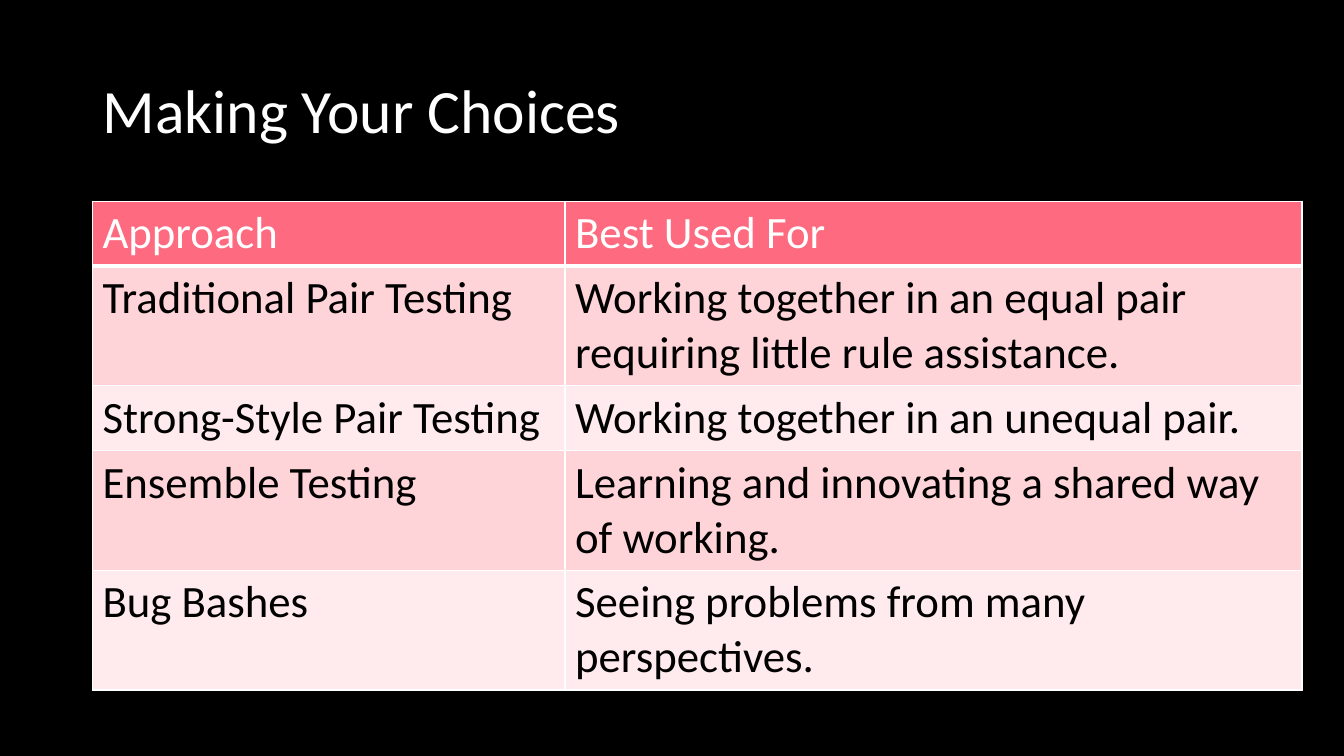
"""Build the "Making Your Choices" slide: a title above a table of testing approaches."""
from dataclasses import dataclass

import lxml.etree
import pptx
import pptx.dml.color
import pptx.enum.text
import pptx.oxml.ns
import pptx.slide
import pptx.table
import pptx.text.text
import pptx.util
from pptx.dml.color import RGBColor
from pptx.util import Cm

BLACK = RGBColor(0x00, 0x00, 0x00)
WHITE = RGBColor(0xFF, 0xFF, 0xFF)
CORAL = RGBColor(0xFE, 0x6A, 0x80)
PINK = RGBColor(0xFF, 0xD4, 0xD8)
PALE_PINK = RGBColor(0xFF, 0xEB, 0xED)

FONT = "Calibri"
LEFT = Cm(2.33)
COLUMN_WIDTHS = (Cm(11.91), Cm(18.57))
ROW_HEIGHT = Cm(1.03)
TABLE_HEIGHT = Cm(12.12)


@dataclass(frozen=True)
class Choice:
    approach: str
    best_used_for: str


HEADING = Choice("Approach", "Best Used For")
CHOICES = (
    Choice("Traditional Pair Testing",
           "Working together in an equal pair requiring little rule assistance."),
    Choice("Strong-Style Pair Testing", "Working together in an unequal pair."),
    Choice("Ensemble Testing", "Learning and innovating a shared way of working."),
    Choice("Bug Bashes", "Seeing problems from many perspectives."),
)


def style_paragraph(para: pptx.text.text._Paragraph, size: int, color: RGBColor) -> None:
    para.font.name = FONT
    para.font.size = pptx.util.Pt(size)
    para.font.bold = False
    para.font.color.rgb = color


def add_borders(cell: pptx.table._Cell, bottom_width: int) -> None:
    properties = cell._tc.get_or_add_tcPr()
    qualify = pptx.oxml.ns.qn
    for side, width in (("L", 1), ("R", 1), ("T", 1), ("B", bottom_width)):
        line = lxml.etree.SubElement(
            properties, qualify(f"a:ln{side}"), w=str(pptx.util.Pt(width)))
        fill = lxml.etree.SubElement(line, qualify("a:solidFill"))
        lxml.etree.SubElement(fill, qualify("a:srgbClr"), val=str(WHITE))


def fill_cell(cell: pptx.table._Cell, text: str, fill: RGBColor,
              color: RGBColor, bottom_width: int) -> None:
    add_borders(cell, bottom_width)
    cell.fill.solid()
    cell.fill.fore_color.rgb = fill
    cell.text = text
    style_paragraph(cell.text_frame.paragraphs[0], 32, color)


def add_title(page: pptx.slide.Slide, text: str) -> None:
    title = page.shapes.title
    title.left, title.top, title.width, title.height = LEFT, Cm(1.01), Cm(29.21), Cm(3.68)
    frame = title.text_frame
    frame.text = text
    frame.word_wrap = True
    frame.auto_size = pptx.enum.text.MSO_AUTO_SIZE.NONE
    frame.vertical_anchor = pptx.enum.text.MSO_ANCHOR.MIDDLE
    para = frame.paragraphs[0]
    para.alignment = pptx.enum.text.PP_ALIGN.LEFT
    para.line_spacing = 0.9
    style_paragraph(para, 44, WHITE)


def add_choices(page: pptx.slide.Slide) -> None:
    rows = (HEADING, *CHOICES)
    holder = page.shapes.add_table(len(rows), len(COLUMN_WIDTHS), LEFT, Cm(5.07),
                                   sum(COLUMN_WIDTHS), TABLE_HEIGHT)
    table = holder.table
    for column, width in zip(table.columns, COLUMN_WIDTHS):
        column.width = width
    for index, choice in enumerate(rows):
        table.rows[index].height = ROW_HEIGHT
        if index == 0:
            fill, color, bottom_width = CORAL, WHITE, 3
        else:
            fill, color, bottom_width = (PINK if index % 2 else PALE_PINK), BLACK, 1
        for cell, text in zip(table.rows[index].cells,
                              (choice.approach, choice.best_used_for)):
            fill_cell(cell, text, fill, color, bottom_width)
    holder.height = TABLE_HEIGHT


def main() -> None:
    deck = pptx.Presentation()
    deck.slide_width, deck.slide_height = Cm(33.87), Cm(19.05)
    page = deck.slides.add_slide(deck.slide_layouts.get_by_name("Title Only"))
    page.background.fill.solid()
    page.background.fill.fore_color.rgb = BLACK
    add_title(page, "Making Your Choices")
    add_choices(page)
    deck.save("out.pptx")


if __name__ == "__main__":
    main()
